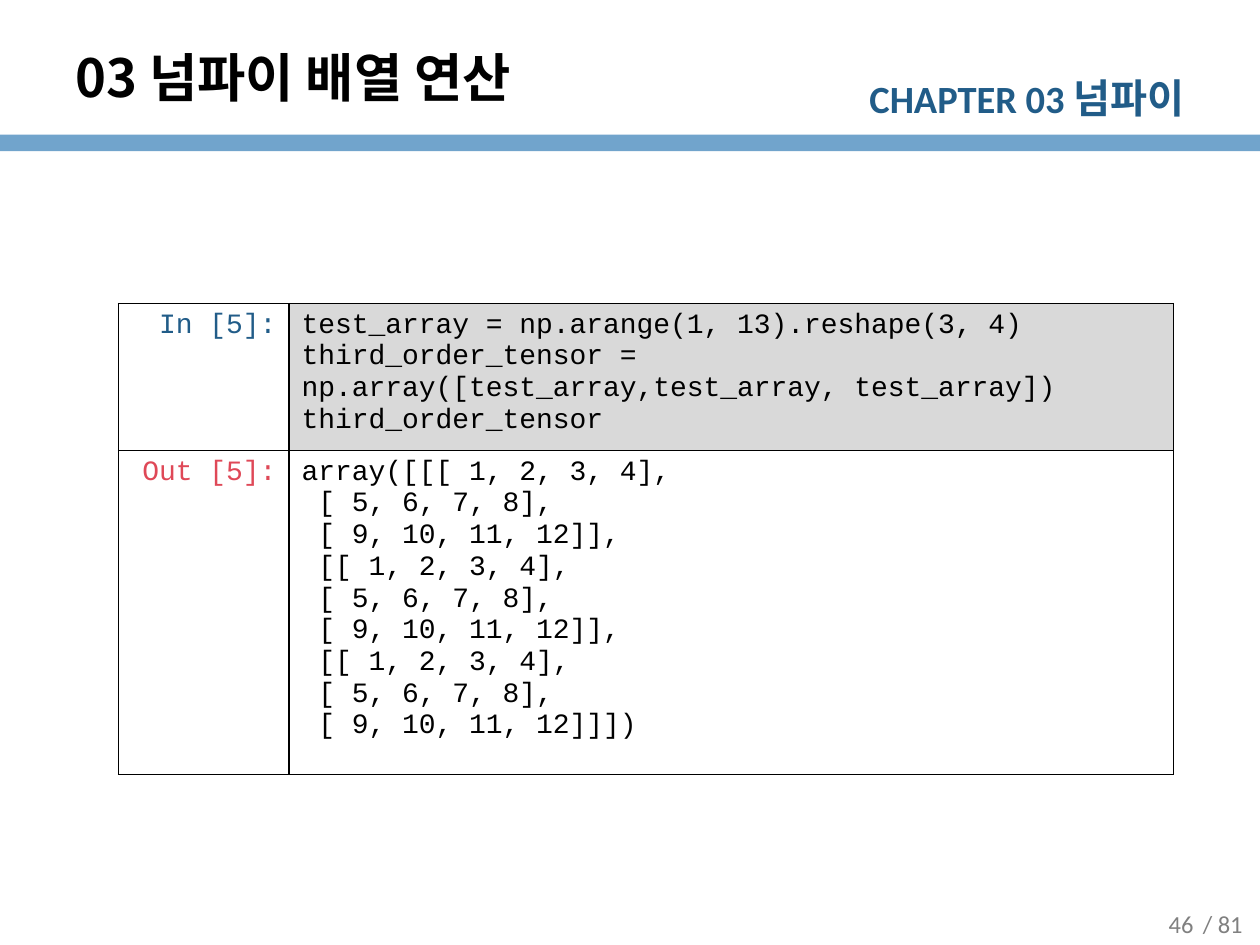
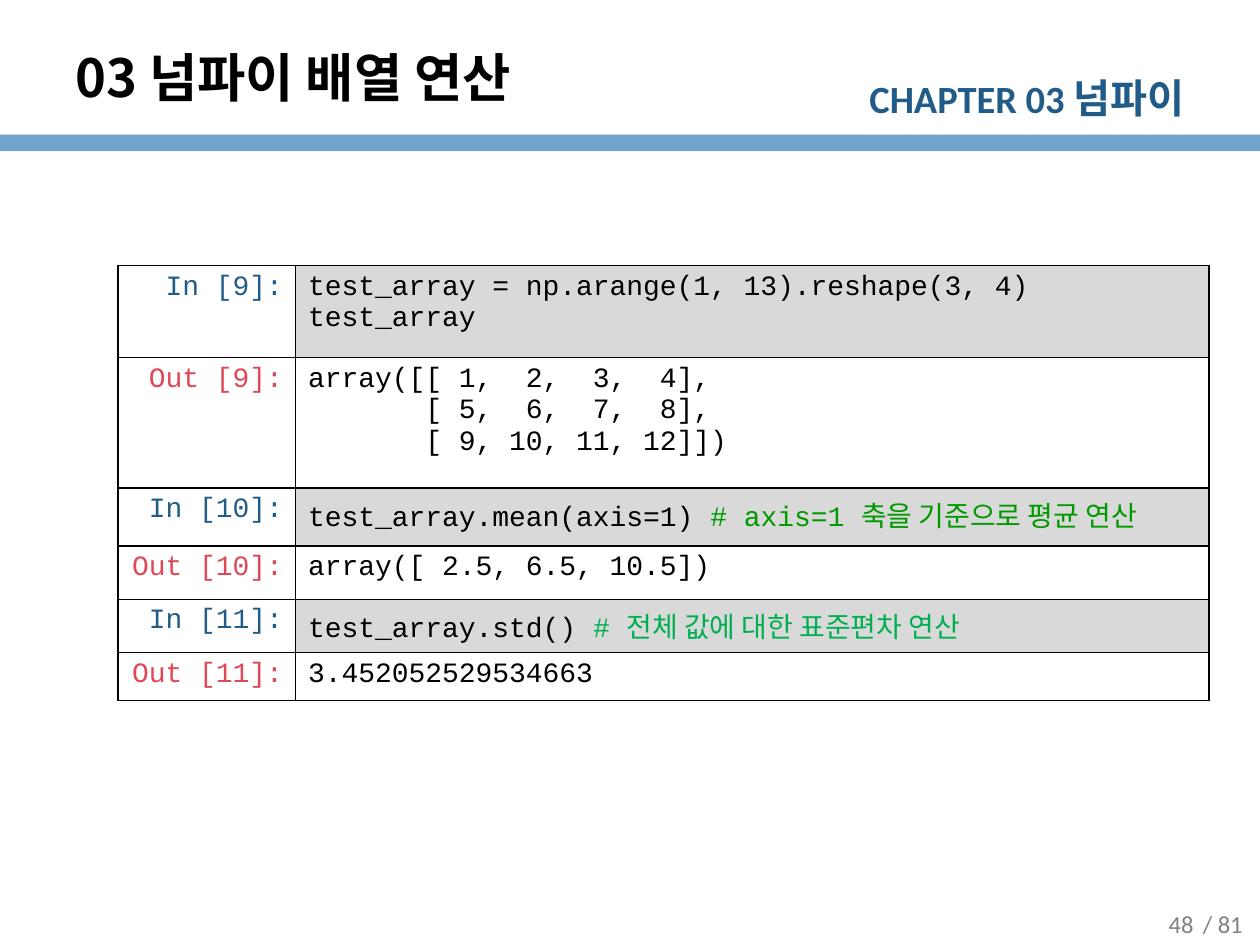
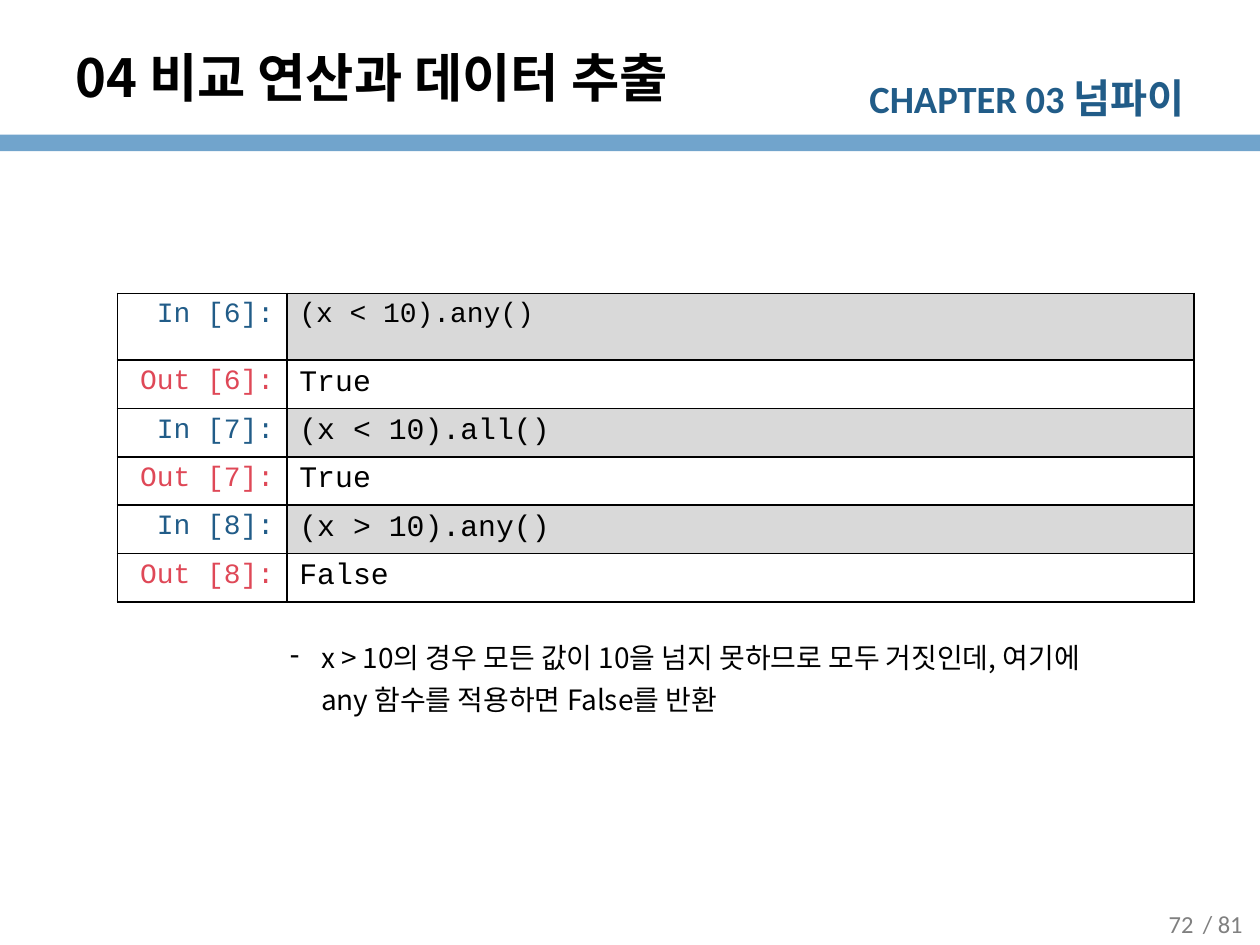
from lxml.etree import SubElement
from pptx import Presentation
from pptx.dml.color import RGBColor
from pptx.enum.shapes import MSO_SHAPE
from pptx.enum.text import MSO_ANCHOR, PP_ALIGN
from pptx.oxml import parse_xml
from pptx.oxml.ns import nsdecls, qn
from pptx.util import Pt

BLACK, BLUE, RED, GREY = "000000", "215C88", "DF4857", "808080"
BAND, CODE_FILL = "71A4CC", "D9D9D9"
GREEN, BRIGHT_GREEN = "009900", "00B050"
SANS, MONO, KOREAN = "Calibri", "Courier New", "Noto Sans CJK KR"


def color(value):
    return RGBColor.from_string(value)


class Lecture:
    def __init__(self):
        self.deck = Presentation()
        self.deck.slide_width = Pt(720)
        self.deck.slide_height = Pt(540)
        self.page = None

    def style(self, font, size, ink, name, bold=False):
        font.size = Pt(size)
        font.bold = bold
        font.name = name
        font.color.rgb = color(ink)

    def korean(self, properties):
        SubElement(properties, qn("a:ea")).set("typeface", KOREAN)

    def fill_para(self, para, spans, size, ink, name, bold=False):
        self.style(para.font, size, ink, name, bold)
        self.korean(para._p.pPr.find(qn("a:defRPr")))
        for text, changes in spans:
            span = para.add_run()
            span.text = text
            if changes:
                look = {"size": size, "ink": ink, "name": name, "bold": bold} | changes
                self.style(span.font, **look)
                self.korean(span._r.rPr)

    def text(self, place, spans, size, ink, name, bold=False,
             align=PP_ALIGN.LEFT, anchor=MSO_ANCHOR.MIDDLE):
        box = self.page.shapes.add_textbox(*map(Pt, place))
        frame = box.text_frame
        frame.word_wrap = True
        frame.vertical_anchor = anchor
        para = frame.paragraphs[0]
        para.alignment = align
        self.fill_para(para, spans, size, ink, name, bold)

    def band(self):
        band = self.page.shapes.add_shape(
            MSO_SHAPE.RECTANGLE, Pt(0), Pt(77), Pt(720), Pt(9.4))
        band.shadow.inherit = False
        band.fill.solid()
        band.fill.fore_color.rgb = color(BAND)
        band.line.fill.background()

    def start_page(self, title, number):
        self.page = self.deck.slides.add_slide(self.deck.slide_layouts[6])
        self.band()
        self.text((476.6, 38.2, 207.4, 34.6),
                  [("CHAPTER 03 ", None), ("넘파이", {"size": 23})],
                  22, BLUE, SANS, True, PP_ALIGN.RIGHT, MSO_ANCHOR.TOP)
        for left, label in ((673.2, "/ 81"), (649.4, str(number))):
            self.text((left, 514, 51, 28), [(label, None)],
                      14, GREY, SANS, align=PP_ALIGN.CENTER)
        self.text((36, 21.6, 563.8, 44.6), [(title, None)], 30, BLACK, KOREAN, True)

    def border(self, cell):
        properties = cell._tc.get_or_add_tcPr()
        for position, side in enumerate("LRTB"):
            properties.insert(position, parse_xml(
                f'<a:ln{side} {nsdecls("a")} w="{Pt(1)}"><a:solidFill>'
                f'<a:srgbClr val="{BLACK}"/></a:solidFill></a:ln{side}>'))

    def cell(self, cell, lines, size, ink, align=PP_ALIGN.LEFT, fill=None):
        if fill:
            cell.fill.solid()
            cell.fill.fore_color.rgb = color(fill)
        else:
            cell.fill.background()
        self.border(cell)
        frame = cell.text_frame
        for index, spans in enumerate(lines):
            para = frame.add_paragraph() if index else frame.paragraphs[0]
            para.alignment = align
            self.fill_para(para, spans, size, ink, MONO)

    def notebook(self, left, top, widths, rows):
        frame = self.page.shapes.add_table(
            len(rows), 2, Pt(left), Pt(top), Pt(sum(widths)),
            Pt(sum(height for height, *_ in rows)))
        table = frame.table
        table.first_row = table.horz_banding = False
        for column, width in zip(table.columns, widths):
            column.width = Pt(width)
        for index, (height, label, code, size) in enumerate(rows):
            table.rows[index].height = Pt(height)
            is_input = label.startswith("In")
            self.cell(table.cell(index, 0), [[(label, None)]], 16,
                      BLUE if is_input else RED, PP_ALIGN.RIGHT)
            lines = ([[(line, None)] for line in code.split("\n")]
                     if isinstance(code, str) else [code])
            self.cell(table.cell(index, 1), lines, size, BLACK,
                      fill=CODE_FILL if is_input else None)

    def note(self, place, text):
        box = self.page.shapes.add_textbox(*map(Pt, place))
        box.text_frame.word_wrap = True
        para = box.text_frame.paragraphs[0]
        para.line_spacing = 1.25
        properties = para._p.get_or_add_pPr()
        properties.set("marL", str(Pt(126)))
        properties.set("indent", str(Pt(-18)))
        bullet_color = SubElement(properties, qn("a:buClr"))
        SubElement(bullet_color, qn("a:srgbClr")).set("val", BLACK)
        SubElement(properties, qn("a:buChar")).set("char", "‐")
        self.fill_para(para, [(text, None)], 16, BLACK, KOREAN)


def main():
    lecture = Lecture()

    lecture.start_page("03 넘파이 배열 연산", 46)
    tensor_input = """test_array = np.arange(1, 13).reshape(3, 4)
third_order_tensor = np.array([test_array,test_array, test_array])
third_order_tensor"""
    tensor_output = """array([[[ 1, 2, 3, 4],
 [ 5, 6, 7, 8],
 [ 9, 10, 11, 12]],
 [[ 1, 2, 3, 4],
 [ 5, 6, 7, 8],
 [ 9, 10, 11, 12]],
 [[ 1, 2, 3, 4],
 [ 5, 6, 7, 8],
 [ 9, 10, 11, 12]]])"""
    lecture.notebook(67.8, 173.5, (97.4, 505.4), [
        (79.7, "In [5]:", tensor_input, 16),
        (185, "Out [5]:", tensor_output, 16),
    ])

    lecture.start_page("03 넘파이 배열 연산", 48)
    matrix_input = """test_array = np.arange(1, 13).reshape(3, 4)
test_array"""
    matrix_output = """array([[ 1,  2,  3,  4],
       [ 5,  6,  7,  8],
       [ 9, 10, 11, 12]])"""
    mean_input = [("test_array.mean(axis=1) ", None),
                  ("# axis=1 축을 기준으로 평균 연산", {"ink": GREEN})]
    std_input = [("test_array.std() ", None),
                 ("# 전체 값에 대한 표준편차 연산", {"ink": BRIGHT_GREEN})]
    lecture.notebook(67.5, 151.7, (101.4, 522), [
        (52.6, "In [9]:", matrix_input, 16),
        (74.7, "Out [9]:", matrix_output, 16),
        (33.1, "In [10]:", mean_input, 16),
        (30.4, "Out [10]:", "array([ 2.5, 6.5, 10.5])", 16),
        (30.4, "In [11]:", std_input, 16),
        (27.6, "Out [11]:", "3.452052529534663", 16),
    ])

    lecture.start_page("04 비교 연산과 데이터 추출", 72)
    lecture.notebook(67.1, 167.6, (96.8, 518.4), [
        (38.2, "In [6]:", "(x < 10).any()", 16),
        (26.7, "Out [6]:", "True", 17),
        (26.7, "In [7]:", "(x < 10).all()", 17),
        (26.7, "Out [7]:", "True", 17),
        (26.7, "In [8]:", "(x > 10).any()", 17),
        (26.7, "Out [8]:", "False", 17),
    ])
    lecture.note((50.4, 357.8, 598, 53.3),
                 "x > 10의 경우 모든 값이 10을 넘지 못하므로 모두 거짓인데, "
                 "여기에 any 함수를 적용하면 False를 반환")

    lecture.deck.save("out.pptx")


if __name__ == "__main__":
    main()
